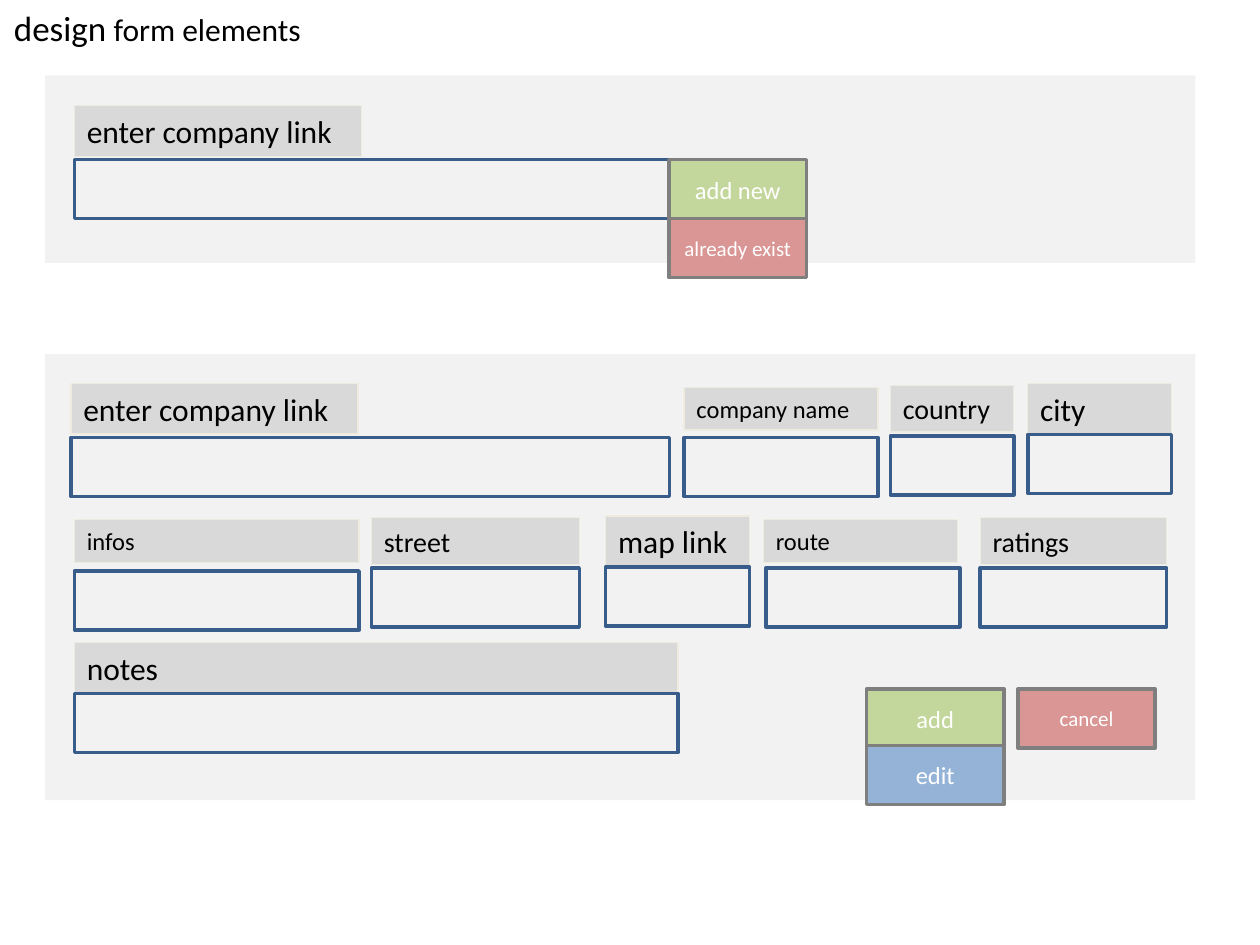
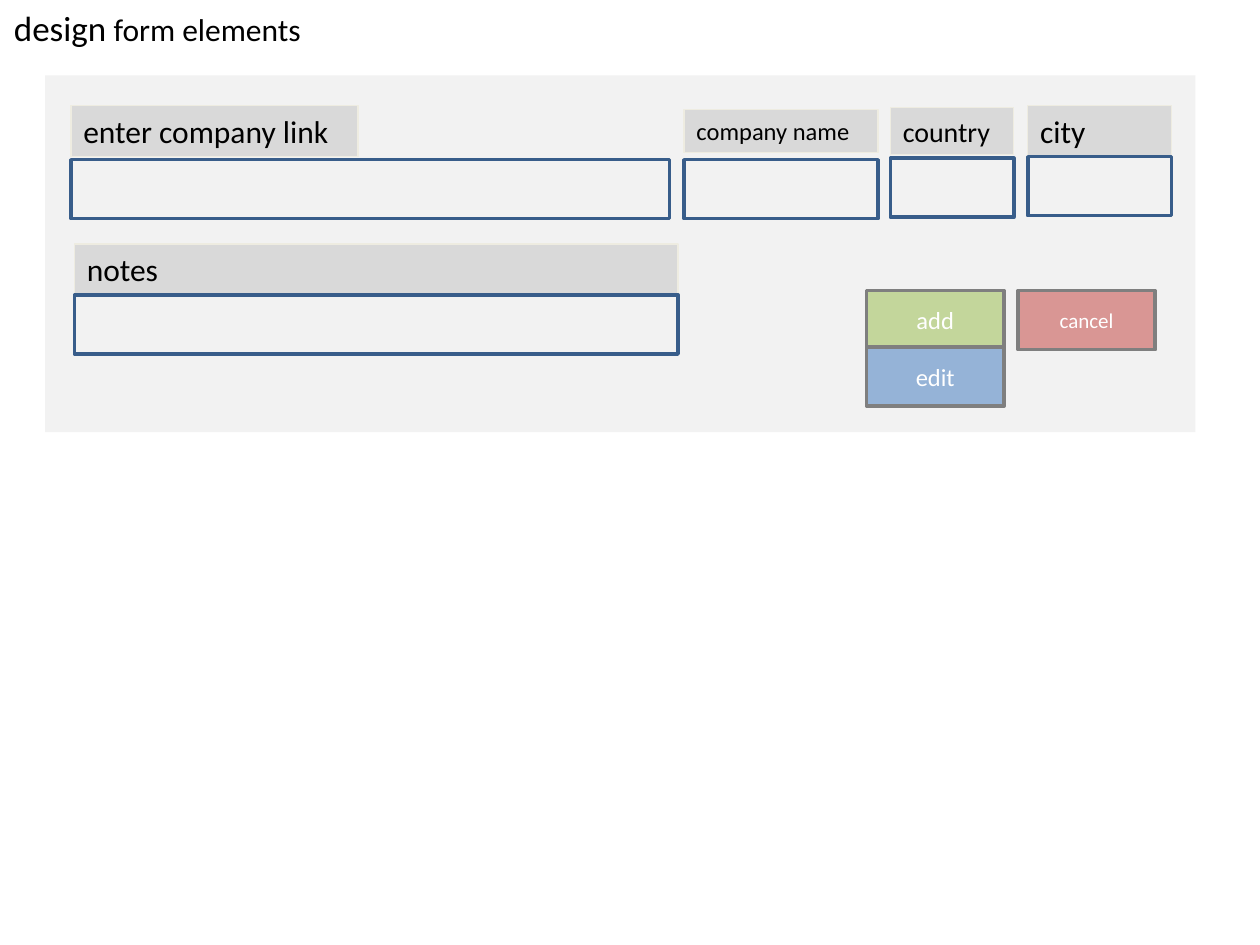
from dataclasses import dataclass
from typing import Optional

from pptx import Presentation
from pptx import util as u
from pptx.dml.color import RGBColor
from pptx.enum import shapes, text

# Shared colours and format
PANEL_GREY = RGBColor(0xF2, 0xF2, 0xF2)
LABEL_GREY = RGBColor(0xD9, 0xD9, 0xD9)
LABEL_EDGE = RGBColor(0xEE, 0xEC, 0xE1)
INPUT_BLUE = RGBColor(0x38, 0x5D, 0x8A)
BUTTON_EDGE = RGBColor(0x7F, 0x7F, 0x7F)
GREEN = RGBColor(0xC3, 0xD6, 0x9B)
RED = RGBColor(0xD9, 0x96, 0x94)
BLUE = RGBColor(0x95, 0xB3, 0xD7)
BLACK = RGBColor(0, 0, 0)
WHITE = RGBColor(0xFF, 0xFF, 0xFF)

FONT = "Calibri"
INSETS = {"margin_left": u.Cm(0.25), "margin_right": u.Cm(0.25),
          "margin_top": u.Cm(0.13), "margin_bottom": u.Cm(0.13)}
TITLE_FRAME = {**INSETS, "word_wrap": False,
               "auto_size": text.MSO_AUTO_SIZE.NONE,
               "vertical_anchor": text.MSO_ANCHOR.TOP}
LABEL_FRAME = {**INSETS, "word_wrap": True,
               "vertical_anchor": text.MSO_ANCHOR.TOP}
BUTTON_FRAME = {**INSETS, "word_wrap": True,
                "vertical_anchor": text.MSO_ANCHOR.MIDDLE}

# Shared lengths in cm
PANEL_LEFT, PANEL_TOP, PANEL_WIDTH = 0.91, 1.52, 23.19
LABEL_HEIGHTS = {14: 0.86, 16: 0.94, 18: 1.02}
INPUT_HEIGHT = 1.19
BUTTON_WIDTH = 2.77
ADD_LEFT, CANCEL_LEFT = 16.56, 19.61


@dataclass
class Field:
    caption: str
    size: int
    left: float                          # from the panel's left edge
    width: float
    drop: float                          # from label centre to input top
    label_width: Optional[float] = None  # same as the input if not given
    label_shift: float = 0


SEARCH = Field("enter company link", 18, 0.59, 11.99, 0.58, 5.79)
COMPANY_ROW = [
    Field("enter company link", 18, 0.52, 12.07, 0.58, 5.79),
    Field("company name", 14, 12.88, 3.91, 0.58),
    Field("country", 16, 17.04, 2.49, 0.55),
    Field("city", 18, 19.81, 2.9, 0.52),
]
DETAILS_ROW = [
    Field("infos", 14, 0.59, 5.74, 0.6),
    Field("street", 16, 6.58, 4.19, 0.54),
    Field("map link", 18, 11.3, 2.9, 0.52),
    Field("route", 14, 14.53, 3.91, 0.54, label_shift=-0.05),
    Field("ratings", 16, 18.85, 3.76, 0.54),
]
NOTES = Field("notes", 18, 0.59, 12.17, 0.52)


def apply(target, values):
    for name, value in values.items():
        setattr(target, name, value)


def write(paragraph, words, size, colour):
    run = paragraph.add_run()
    run.text = words
    apply(run.font, {"name": FONT, "size": u.Pt(size)})
    run.font.color.rgb = colour


def add_box(slide, left, top, width, height, fill, edge=None, weight=0,
            preset=shapes.MSO_SHAPE.RECTANGLE):
    box = slide.shapes.add_shape(preset, *map(u.Cm, (left, top, width, height)))
    box.shadow.inherit = False
    box.fill.solid()
    box.fill.fore_color.rgb = fill
    if edge is None:
        box.line.fill.background()
    else:
        box.line.color.rgb = edge
        box.line.width = u.Pt(weight)
    return box


def add_title(slide):
    title = slide.shapes.title
    apply(title, {"left": u.Cm(0.03), "top": u.Cm(0),
                  "width": u.Cm(6.3), "height": u.Cm(1.12)})
    apply(title.text_frame, TITLE_FRAME)
    heading = title.text_frame.paragraphs[0]
    heading.alignment = text.PP_ALIGN.LEFT
    write(heading, "design", 20, BLACK)
    write(heading, " form elements", 18, BLACK)


def add_panel(slide, top, height):
    panel = add_box(slide, PANEL_LEFT, top, PANEL_WIDTH, height, PANEL_GREY,
                    preset=shapes.MSO_SHAPE.ROUNDED_RECTANGLE)
    panel.adjustments[0] = 0


def add_field(slide, field, centre):
    """Place a label around the line at centre, with its input below."""
    left = PANEL_LEFT + field.left
    height = LABEL_HEIGHTS[field.size]
    label = add_box(slide, left + field.label_shift, centre - height / 2,
                    field.label_width or field.width, height,
                    LABEL_GREY, LABEL_EDGE, 0.75)
    apply(label.text_frame, LABEL_FRAME)
    caption = label.text_frame.paragraphs[0]
    caption.alignment = text.PP_ALIGN.LEFT
    write(caption, field.caption, field.size, BLACK)
    add_box(slide, left, centre + field.drop, field.width, INPUT_HEIGHT,
            PANEL_GREY, INPUT_BLUE, 2)


def add_button(slide, caption, left, top, fill, size=14):
    button = add_box(slide, PANEL_LEFT + left, top, BUTTON_WIDTH, INPUT_HEIGHT,
                     fill, BUTTON_EDGE, 2)
    apply(button.text_frame, BUTTON_FRAME)
    line = button.text_frame.paragraphs[0]
    line.alignment = text.PP_ALIGN.CENTER
    write(line, caption, size, WHITE)


def add_search_form(slide, top, height):
    """Link check with its two possible answers."""
    add_panel(slide, top, height)
    add_field(slide, SEARCH, top + 1.12)
    answers_left, answers_top = SEARCH.left + SEARCH.width, top + 1.7
    add_button(slide, "add new", answers_left, answers_top, GREEN)
    add_button(slide, "already exist", answers_left,
               answers_top + INPUT_HEIGHT, RED, 12)


def add_entry_form(slide, top, height, rows, notes_centre):
    """Rows of fields, then the notes and the buttons."""
    add_panel(slide, top, height)
    for centre, fields in rows:
        for field in fields:
            add_field(slide, field, top + centre)
    add_field(slide, NOTES, top + notes_centre)
    buttons_top = top + notes_centre + 0.43
    add_button(slide, "add", ADD_LEFT, buttons_top, GREEN)
    add_button(slide, "cancel", CANCEL_LEFT, buttons_top, RED, 12)
    add_button(slide, "edit", ADD_LEFT, buttons_top + 1.14, BLUE)


def main():
    deck = Presentation()
    apply(deck, {"slide_width": u.Cm(25.4), "slide_height": u.Cm(19.05)})
    title_only = deck.slide_layouts[5]

    # Search form and full entry form
    full = deck.slides.add_slide(title_only)
    add_title(full)
    add_search_form(full, PANEL_TOP, 3.78)
    add_entry_form(full, 7.14, 8.99,
                   [(1.1, COMPANY_ROW), (3.77, DETAILS_ROW)], 6.32)

    # Short entry form
    short = deck.slides.add_slide(title_only)
    add_title(short)
    add_entry_form(short, PANEL_TOP, 7.19, [(1.12, COMPANY_ROW)], 3.91)

    deck.save("out.pptx")


if __name__ == "__main__":
    main()
